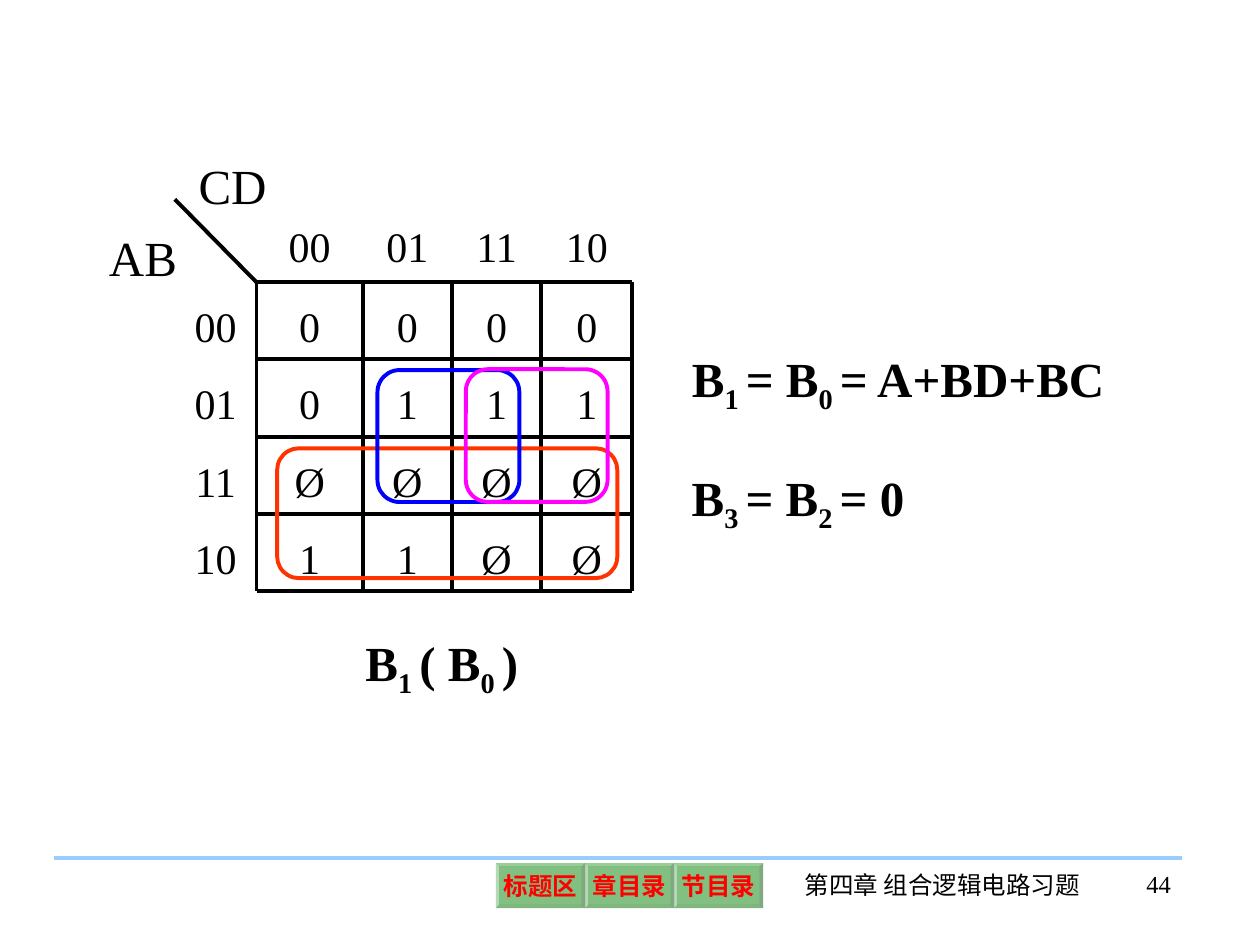
"""Build the Karnaugh map slide for outputs B1 and B0."""
from itertools import accumulate
from lxml.etree import SubElement
from pptx import Presentation
from pptx.dml.color import RGBColor
from pptx.enum.shapes import MSO_CONNECTOR as Connector, MSO_SHAPE as Preset
from pptx.enum.text import MSO_ANCHOR as Anchor, PP_ALIGN as Align
from pptx.oxml.ns import qn
from pptx.util import Pt

COLORS = {"text": "000000", "grid": "000000", "rule": "99CCFF", "button": "008000",
          "label": "FF0000", "A": "FF3300", "BD": "0000FF", "BC": "FF00FF"}
FONT = "Times New Roman"
LINE_WIDTH = 2.25
BUTTON_ALPHA = 49000
MAP_LEFT, MAP_TOP = 99.9, 113.9
COLUMN_WIDTHS = [46.7, 60.8, 50.8, 51.2, 52]
ROW_HEIGHTS = [47.4] + [44.1] * 4
CELL_MARGINS = {"margin_left": Pt(1.5), "margin_right": Pt(1.5),
                "margin_top": Pt(5), "margin_bottom": Pt(1.5)}
BUTTON_MARGINS = dict.fromkeys(CELL_MARGINS, Pt(2.9))
MAP_ROWS = [["", "00", "01", "11", "10"],
            ["00", "0", "0", "0", "0"],
            ["01", "0", "1", "1", "1"],
            ["11", "Ø", "Ø", "Ø", "Ø"],
            ["10", "1", "1", "Ø", "Ø"]]
LOOPS = [("A", 158.4, 256.2, 194.4, 74.2),
         ("BD", 215.7, 211.5, 81.1, 75.4),
         ("BC", 266.2, 211, 81, 75.8)]
EQUATIONS = [(388.3, 195.4, 268, ["B", "1 ", "= B", "0 ", "= A+BD+BC"]),
             (201.8, 357.8, 124, ["B", "1 ", "( B", "0 ", ")"]),
             (388.2, 263.5, 150, ["B", "3 ", "= B", "2 ", "= 0"])]
BUTTONS = ["标题区", "章目录", "节目录"]


def rgb(name):
    """Return the palette colour with this name."""
    return RGBColor.from_string(COLORS[name])


def set_values(target, values):
    """Set each named attribute of the target."""
    for name, value in values.items():
        setattr(target, name, value)


def add_run(paragraph, text, color="text", **formats):
    """Add a run of text and set its font values."""
    run = paragraph.add_run()
    run.text = text
    run.font.color.rgb = rgb(color)
    set_values(run.font, {"name": FONT, **formats})
    return run


def add_label(slide, left, top, width, height, text, size, align=Align.LEFT):
    """Add a text box with one line of plain text."""
    frame = slide.shapes.add_textbox(Pt(left), Pt(top), Pt(width), Pt(height)).text_frame
    frame.word_wrap = True
    paragraph = frame.paragraphs[0]
    paragraph.alignment = align
    if text:
        add_run(paragraph, text, size=Pt(size))
    return paragraph


def add_equation(slide, left, top, width, parts):
    """Add bold text in which every second part is a subscript."""
    paragraph = add_label(slide, left, top, width, 45, "", 28)
    for index, part in enumerate(parts):
        run = add_run(paragraph, part, size=Pt(28), bold=True)
        if index % 2:
            run.font._element.set("baseline", "-25000")


def add_line(slide, start, end, color):
    """Add a straight line without a shadow."""
    connector = slide.shapes.add_connector(Connector.STRAIGHT, *map(Pt, start + end))
    connector.line.color.rgb = rgb(color)
    connector.line.width = Pt(LINE_WIDTH)
    SubElement(connector._element.spPr, qn("a:effectLst"))


def clear_borders(cell):
    """Remove the four borders of a cell."""
    properties = cell._tc.get_or_add_tcPr()
    for side in "LRTB":
        SubElement(SubElement(properties, qn(f"a:ln{side}")), qn("a:noFill"))


def add_map(slide):
    """Add the table of map values and its headers."""
    table = slide.shapes.add_table(
        len(ROW_HEIGHTS), len(COLUMN_WIDTHS), Pt(MAP_LEFT), Pt(MAP_TOP),
        Pt(sum(COLUMN_WIDTHS)), Pt(sum(ROW_HEIGHTS))).table
    set_values(table, {"first_row": False, "horz_banding": False})
    for column, width in zip(table.columns, COLUMN_WIDTHS):
        column.width = Pt(width)
    for row, height in zip(table.rows, ROW_HEIGHTS):
        row.height = Pt(height)
    for row, values in enumerate(MAP_ROWS):
        for column, value in enumerate(values):
            cell = table.cell(row, column)
            clear_borders(cell)
            cell.fill.background()
            set_values(cell, {"vertical_anchor": Anchor.MIDDLE, **CELL_MARGINS})
            paragraph = cell.text_frame.paragraphs[0]
            set_values(paragraph, {"alignment": Align.CENTER, "line_spacing": 1.2})
            if value:
                add_run(paragraph, value, size=Pt(24))


def add_grid(slide):
    """Rule the value cells and the diagonal between the headers."""
    _, *columns = accumulate(COLUMN_WIDTHS, initial=MAP_LEFT)
    _, *rows = accumulate(ROW_HEIGHTS, initial=MAP_TOP)
    add_line(slide, (MAP_LEFT, MAP_TOP), (columns[0], rows[0]), "grid")
    for x in columns:
        add_line(slide, (x, rows[0]), (x, rows[-1]), "grid")
    for y in rows:
        add_line(slide, (columns[0], y), (columns[-1], y), "grid")


def add_loop(slide, color, left, top, width, height):
    """Add a rounded outline around a group of map cells."""
    shape = slide.shapes.add_shape(
        Preset.ROUNDED_RECTANGLE, Pt(left), Pt(top), Pt(width), Pt(height))
    shape.adjustments[0] = 0.167
    shape.shadow.inherit = False
    shape.fill.background()
    shape.line.color.rgb = rgb(color)
    shape.line.width = Pt(LINE_WIDTH)


def add_button(slide, left, text):
    """Add a bevelled, half transparent navigation button."""
    shape = slide.shapes.add_shape(Preset.BEVEL, Pt(left), Pt(493.2), Pt(50.9), Pt(25.7))
    shape.adjustments[0] = 0.07
    shape.shadow.inherit = False
    shape.line.fill.background()
    shape.fill.solid()
    shape.fill.fore_color.rgb = rgb("button")
    color = shape._element.spPr.find(f"{qn('a:solidFill')}/{qn('a:srgbClr')}")
    SubElement(color, qn("a:alpha"), val=str(BUTTON_ALPHA))
    frame = shape.text_frame
    set_values(frame, {"word_wrap": False, "vertical_anchor": Anchor.MIDDLE,
                       **BUTTON_MARGINS})
    paragraph = frame.paragraphs[0]
    paragraph.alignment = Align.CENTER
    add_run(paragraph, text, "label", size=Pt(14), bold=True)


def main():
    """Build and save the slide."""
    presentation = Presentation()
    set_values(presentation, {"slide_width": Pt(720), "slide_height": Pt(540)})
    slide = presentation.slides.add_slide(presentation.slide_layouts[6])
    add_line(slide, (31, 490.3), (675.4, 490.3), "rule")
    add_label(slide, 442.8, 493.9, 191.5, 36, "第四章 组合逻辑电路习题", 14, Align.CENTER)
    add_label(slide, 614.2, 493.2, 61.9, 36, "44", 14, Align.RIGHT)
    add_label(slide, 55.2, 126.7, 87.8, 41, "AB", 28)
    add_label(slide, 106.4, 85.4, 88.6, 41, "CD", 28)
    add_map(slide)
    add_grid(slide)
    for equation in EQUATIONS:
        add_equation(slide, *equation)
    for loop in LOOPS:
        add_loop(slide, *loop)
    for index, text in enumerate(BUTTONS):
        add_button(slide, 283.4 + 50.9 * index, text)
    presentation.save("out.pptx")


if __name__ == "__main__":
    main()
